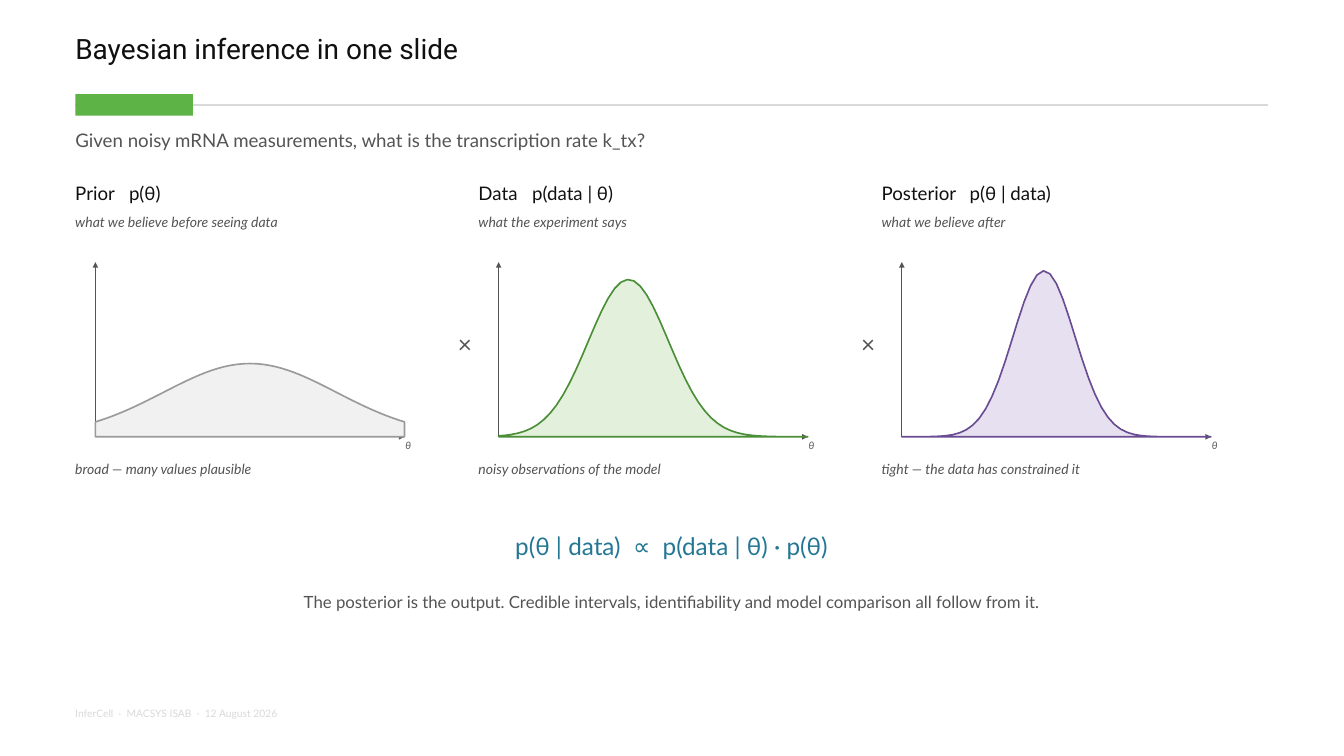
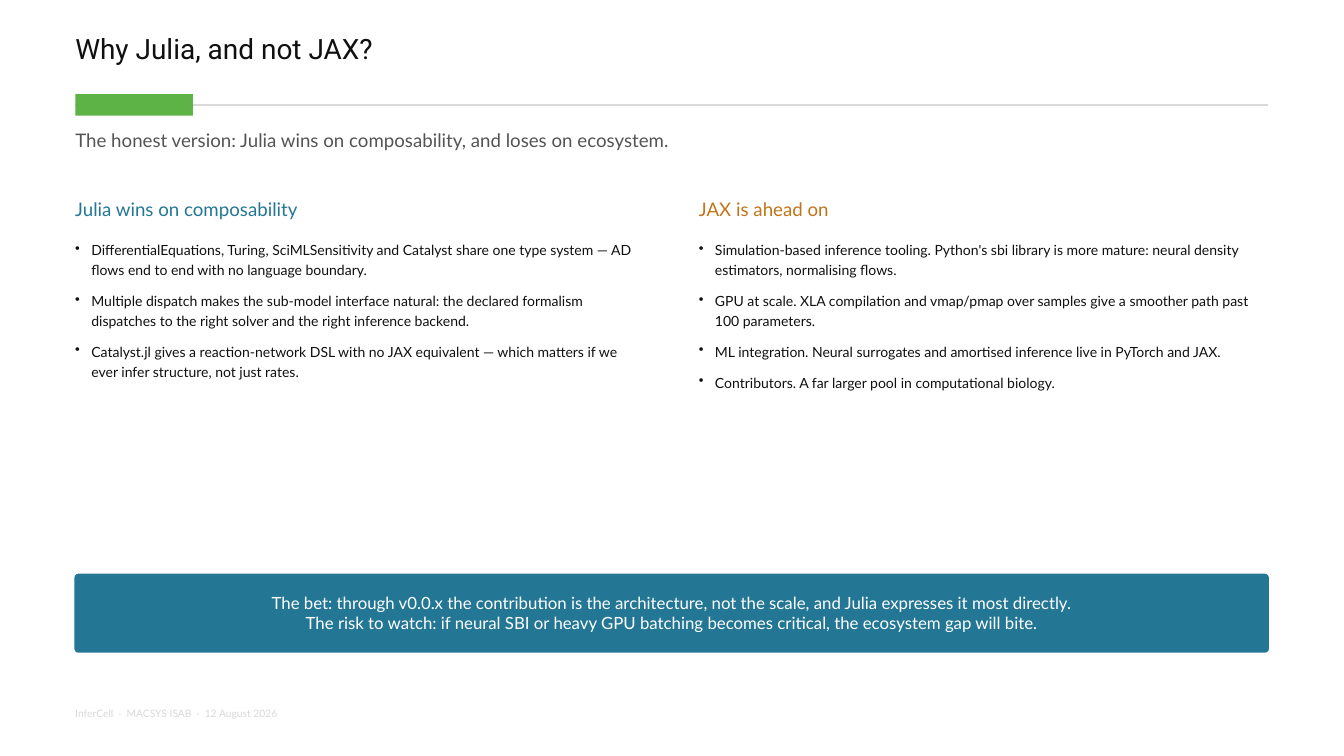
from math import exp

from pptx import Presentation
from pptx.dml.color import RGBColor
from pptx.enum.shapes import MSO_CONNECTOR, MSO_SHAPE
from pptx.enum.text import MSO_ANCHOR, MSO_AUTO_SIZE, PP_ALIGN
from pptx.oxml.ns import qn
from pptx.util import Inches, Pt
from lxml.etree import SubElement

# Colours
INK = RGBColor(0x10, 0x10, 0x10)
GREY = RGBColor(0x54, 0x54, 0x54)
PALE = RGBColor(0xD9, 0xD9, 0xD9)
WHITE = RGBColor(0xFF, 0xFF, 0xFF)
GREEN = RGBColor(0x5E, 0xB3, 0x46)
TEAL = RGBColor(0x23, 0x77, 0x94)
ORANGE = RGBColor(0xC1, 0x74, 0x1A)
PRIOR_FILL, PRIOR_LINE = RGBColor(0xF1, 0xF1, 0xF1), RGBColor(0x9A, 0x9A, 0x9A)
DATA_FILL, DATA_LINE = RGBColor(0xE3, 0xF0, 0xDC), RGBColor(0x4A, 0x8F, 0x38)
POSTERIOR_FILL, POSTERIOR_LINE = RGBColor(0xE7, 0xE0, 0xF1), RGBColor(0x6A, 0x4C, 0x93)

# Page grid, in inches
LEFT, WIDTH = 1.12, 17.75
FOOTER = "InferCell  ·  MACSYS ISAB  ·  12 August 2026"


def font(size, color, name="Lato", italic=False):
    return {"size": Pt(size), "name": name, "italic": italic, "color": color}


TITLE = font(30, INK, "Roboto")
LEAD = font(20, GREY)
HEADING = font(20, INK)
CAPTION = font(15, GREY, italic=True)
BODY = font(15, INK)
CLOSING = font(18, GREY)
SYMBOL = font(26, GREY)
AXIS_LABEL = font(11, GREY, italic=True)
FOOTER_FONT = font(11, PALE)

NO_INSETS = {"margin_left": 0, "margin_top": 0, "margin_right": 0, "margin_bottom": 0}
BOX_INSETS = {"margin_left": Inches(0.06), "margin_top": Inches(0.03),
              "margin_right": Inches(0.06), "margin_bottom": Inches(0.03)}


def set_values(target, values):
    for name, value in values.items():
        setattr(target, name, value)


class Deck:
    """Holds the shared style and the slide being built."""

    def __init__(self):
        self.presentation = Presentation()
        set_values(self.presentation,
                   {"slide_width": Inches(20), "slide_height": Inches(11.25)})
        self.slide = None

    def set_text(self, frame, lines, style, align=PP_ALIGN.LEFT, spacing=1.0,
                 bullet=False, tab=None, anchor=MSO_ANCHOR.TOP, insets=NO_INSETS):
        set_values(frame, {"word_wrap": True, "auto_size": MSO_AUTO_SIZE.NONE,
                           "vertical_anchor": anchor, **insets})
        for index, line in enumerate(lines):
            paragraph = frame.paragraphs[0] if index == 0 else frame.add_paragraph()
            properties = paragraph._p.get_or_add_pPr()
            if bullet:
                properties.set("marL", str(Inches(0.24)))
                properties.set("indent", str(-Inches(0.24)))
                SubElement(properties, qn("a:buChar")).set("char", "•")
            if tab:
                stop = SubElement(SubElement(properties, qn("a:tabLst")), qn("a:tab"))
                stop.set("pos", str(Inches(tab)))
                stop.set("algn", "l")
            set_values(paragraph, {"alignment": align, "line_spacing": spacing,
                                   "space_before": Pt(12 if bullet and index else 0)})
            run = paragraph.add_run()
            run.text = line
            set_values(run.font, {key: style[key] for key in ("size", "name", "italic")})
            run.font.color.rgb = style["color"]

    def text(self, left, top, width, height, lines, style, **options):
        box = self.slide.shapes.add_textbox(
            Inches(left), Inches(top), Inches(width), Inches(height))
        self.set_text(box.text_frame, lines, style, **options)

    def paint(self, shape, fill, line=None):
        shape.shadow.inherit = False
        shape.fill.solid()
        shape.fill.fore_color.rgb = fill
        if line is None:
            shape.line.fill.background()
        else:
            shape.line.color.rgb = line
            shape.line.width = Pt(1.75)

    def box(self, kind, left, top, width, height, fill, line=None):
        shape = self.slide.shapes.add_shape(
            kind, Inches(left), Inches(top), Inches(width), Inches(height))
        self.paint(shape, fill, line)
        return shape

    def line(self, start, end, color, width, arrow=False):
        connector = self.slide.shapes.add_connector(
            MSO_CONNECTOR.STRAIGHT, *map(Inches, start + end))
        connector.line.color.rgb = color
        connector.line.width = Pt(width)
        properties = connector._element.spPr
        if arrow:
            SubElement(properties.get_or_add_ln(), qn("a:tailEnd")).set("type", "triangle")
        SubElement(properties, qn("a:effectLst"))
        return connector

    def outline(self, points, fill, line):
        corners = [(Inches(x), Inches(y)) for x, y in points]
        builder = self.slide.shapes.build_freeform(*corners[0])
        builder.add_line_segments(corners[1:], close=True)
        self.paint(builder.convert_to_shape(), fill, line)

    def new_slide(self, title, lead):
        self.slide = self.presentation.slides.add_slide(self.presentation.slide_layouts[5])
        placeholder = self.slide.shapes.title
        set_values(placeholder, {"left": Inches(LEFT), "top": Inches(0.51),
                                 "width": Inches(WIDTH), "height": Inches(0.95)})
        self.set_text(placeholder.text_frame, [title], TITLE, spacing=0.95)
        # Rule with its accent bar, lead line and footer
        rule = self.line((LEFT, 1.56), (LEFT + WIDTH, 1.56), PALE, 1.5)
        accent = self.box(MSO_SHAPE.RECTANGLE, LEFT, 1.4, 1.75, 0.32, GREEN)
        rule.begin_connect(accent, 1)
        self.text(LEFT, 1.92, WIDTH, 0.55, [lead], LEAD)
        self.text(LEFT, 10.52, 12.43, 0.32, [FOOTER], FOOTER_FONT)

    def density(self, left, mean, deviation, peak, fill, line):
        """Axes with a bell curve; mean and deviation are shares of the axis."""
        origin, base, length, steps = left + 0.3, 6.5, 4.6, 48
        for end in ((origin + length, base), (origin, base - 2.6)):
            self.line((origin, base), end, GREY, 1.25, arrow=True)
        self.text(left + 4, 6.54, 1, 0.3, ["θ"], AXIS_LABEL, align=PP_ALIGN.RIGHT)
        curve = [(origin + length * share,
                  base - peak * exp(-((share - mean) / deviation) ** 2 / 2))
                 for share in (step / steps for step in range(steps + 1))]
        self.outline(curve + [(origin + length, base), (origin, base)], fill, line)


def bayes_slide(deck):
    deck.new_slide("Bayesian inference in one slide",
                   "Given noisy mRNA measurements, what is the transcription rate k_tx?")
    # Heading, tab stop, caption, remark, curve (mean, deviation, peak, fill, line)
    panels = [
        ("Prior\tp(θ)", 0.8, "what we believe before seeing data",
         "broad — many values plausible", (0.5, 0.28, 1.09, PRIOR_FILL, PRIOR_LINE)),
        ("Data\tp(data | θ)", 0.8, "what the experiment says",
         "noisy observations of the model", (0.42, 0.13, 2.34, DATA_FILL, DATA_LINE)),
        ("Posterior\tp(θ | data)", 1.31, "what we believe after",
         "tight — the data has constrained it",
         (0.46, 0.1, 2.47, POSTERIOR_FILL, POSTERIOR_LINE)),
    ]
    for index, (heading, tab, caption, remark, curve) in enumerate(panels):
        left = LEFT + 6 * index
        if index:
            deck.text(left - 0.6, 4.9, 0.8, 0.6, ["×"], SYMBOL, align=PP_ALIGN.CENTER)
        deck.text(left, 2.7, 5.5, 0.42, [heading], HEADING, tab=tab)
        deck.text(left, 3.18, 5.5, 0.5, [caption], CAPTION)
        deck.density(left, *curve)
        deck.text(left, 6.85, 5.5, 0.5, [remark], CAPTION)
    # Bayes' rule and its consequence
    deck.text(LEFT, 7.9, WIDTH, 0.6, ["p(θ | data)  ∝  p(data | θ) · p(θ)"],
              {**SYMBOL, "color": TEAL}, align=PP_ALIGN.CENTER)
    deck.text(LEFT, 8.8, WIDTH, 0.9,
              ["The posterior is the output. Credible intervals, identifiability and "
               "model comparison all follow from it."], CLOSING, align=PP_ALIGN.CENTER)


def julia_slide(deck):
    deck.new_slide("Why Julia, and not JAX?",
                   "The honest version: Julia wins on composability, and loses on ecosystem.")
    columns = [
        (LEFT, "Julia wins on composability", TEAL, [
            "DifferentialEquations, Turing, SciMLSensitivity and Catalyst share one type "
            "system — AD flows end to end with no language boundary.",
            "Multiple dispatch makes the sub-model interface natural: the declared formalism "
            "dispatches to the right solver and the right inference backend.",
            "Catalyst.jl gives a reaction-network DSL with no JAX equivalent — which matters "
            "if we ever infer structure, not just rates."]),
        (10.4, "JAX is ahead on", ORANGE, [
            "Simulation-based inference tooling. Python's sbi library is more mature: neural "
            "density estimators, normalising flows.",
            "GPU at scale. XLA compilation and vmap/pmap over samples give a smoother path "
            "past 100 parameters.",
            "ML integration. Neural surrogates and amortised inference live in PyTorch and JAX.",
            "Contributors. A far larger pool in computational biology."]),
    ]
    for left, heading, color, points in columns:
        deck.text(left, 2.95, 8.3, 0.42, [heading], {**HEADING, "color": color})
        deck.text(left, 3.55, 8.3, 4.6, points, BODY, spacing=1.18, bullet=True)
    # Verdict banner
    banner = deck.box(MSO_SHAPE.ROUNDED_RECTANGLE, LEFT, 8.55, WIDTH, 1.15, TEAL, TEAL)
    banner.adjustments[0] = 0.04
    deck.set_text(banner.text_frame, [
        "The bet: through v0.0.x the contribution is the architecture, not the scale, "
        "and Julia expresses it most directly.",
        "The risk to watch: if neural SBI or heavy GPU batching becomes critical, "
        "the ecosystem gap will bite."],
        {**CLOSING, "color": WHITE}, align=PP_ALIGN.CENTER,
        anchor=MSO_ANCHOR.MIDDLE, insets=BOX_INSETS)


def main():
    deck = Deck()
    bayes_slide(deck)
    julia_slide(deck)
    deck.presentation.save("out.pptx")


if __name__ == "__main__":
    main()
